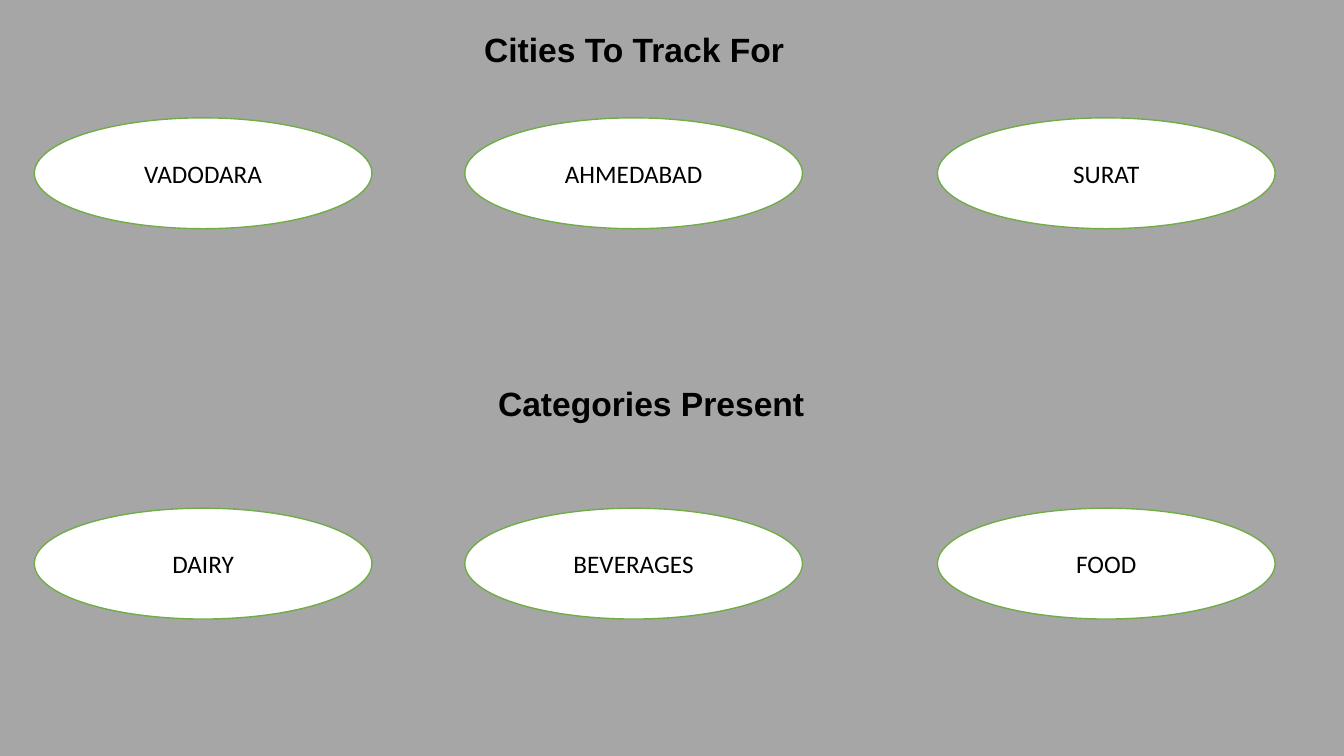
from pptx import Presentation
from pptx.dml.color import RGBColor
from pptx.enum.shapes import MSO_SHAPE
from pptx.enum.text import MSO_ANCHOR, MSO_AUTO_SIZE, PP_ALIGN
from pptx.util import Pt

OVAL_LEFTS = (24.5, 332, 669.6)
OVAL_WIDTH, OVAL_HEIGHT = 241.2, 79.2
HEADING_WIDTH, HEADING_HEIGHT = 930.2, 36


def color(value):
    return RGBColor.from_string(value)


def write_text(shape, text, font_name, size, bold, anchor):
    frame = shape.text_frame
    frame.word_wrap = True
    frame.vertical_anchor = anchor
    paragraph = frame.paragraphs[0]
    paragraph.alignment = PP_ALIGN.CENTER
    paragraph.line_spacing = 1.0
    paragraph.space_before = Pt(0)
    run = paragraph.add_run()
    run.text = text
    run.font.name = font_name
    run.font.size = Pt(size)
    run.font.bold = bold
    run.font.color.rgb = color("000000")


def format_heading(shape, left, top, text):
    shape.left, shape.top = Pt(left), Pt(top)
    shape.width, shape.height = Pt(HEADING_WIDTH), Pt(HEADING_HEIGHT)
    write_text(shape, text, "Arial", 24, True, MSO_ANCHOR.TOP)
    shape.text_frame.auto_size = MSO_AUTO_SIZE.SHAPE_TO_FIT_TEXT


def add_oval_row(slide, top, labels):
    for left, label in zip(OVAL_LEFTS, labels):
        oval = slide.shapes.add_shape(
            MSO_SHAPE.OVAL, Pt(left), Pt(top), Pt(OVAL_WIDTH), Pt(OVAL_HEIGHT))
        oval.shadow.inherit = False
        oval.fill.solid()
        oval.fill.fore_color.rgb = color("FFFFFF")
        oval.line.color.rgb = color("70AD47")
        oval.line.width = Pt(1)
        write_text(oval, label, "Calibri", 18, False, MSO_ANCHOR.MIDDLE)


def build_tracking_slide(presentation):
    slide = presentation.slides.add_slide(presentation.slide_layouts[5])
    slide.background.fill.solid()
    slide.background.fill.fore_color.rgb = color("A6A6A6")

    format_heading(slide.shapes.title, -12.2, 17.3, "Cities To Track For")
    add_oval_row(slide, 84.2, ("VADODARA", "AHMEDABAD", "SURAT"))

    categories_heading = slide.shapes.add_textbox(
        Pt(0), Pt(270), Pt(HEADING_WIDTH), Pt(HEADING_HEIGHT))
    format_heading(categories_heading, 0, 270, "Categories Present")
    add_oval_row(slide, 363, ("DAIRY", "BEVERAGES", "FOOD"))


def main():
    presentation = Presentation()
    presentation.slide_width, presentation.slide_height = Pt(960), Pt(540)
    build_tracking_slide(presentation)
    presentation.save("out.pptx")


if __name__ == "__main__":
    main()
